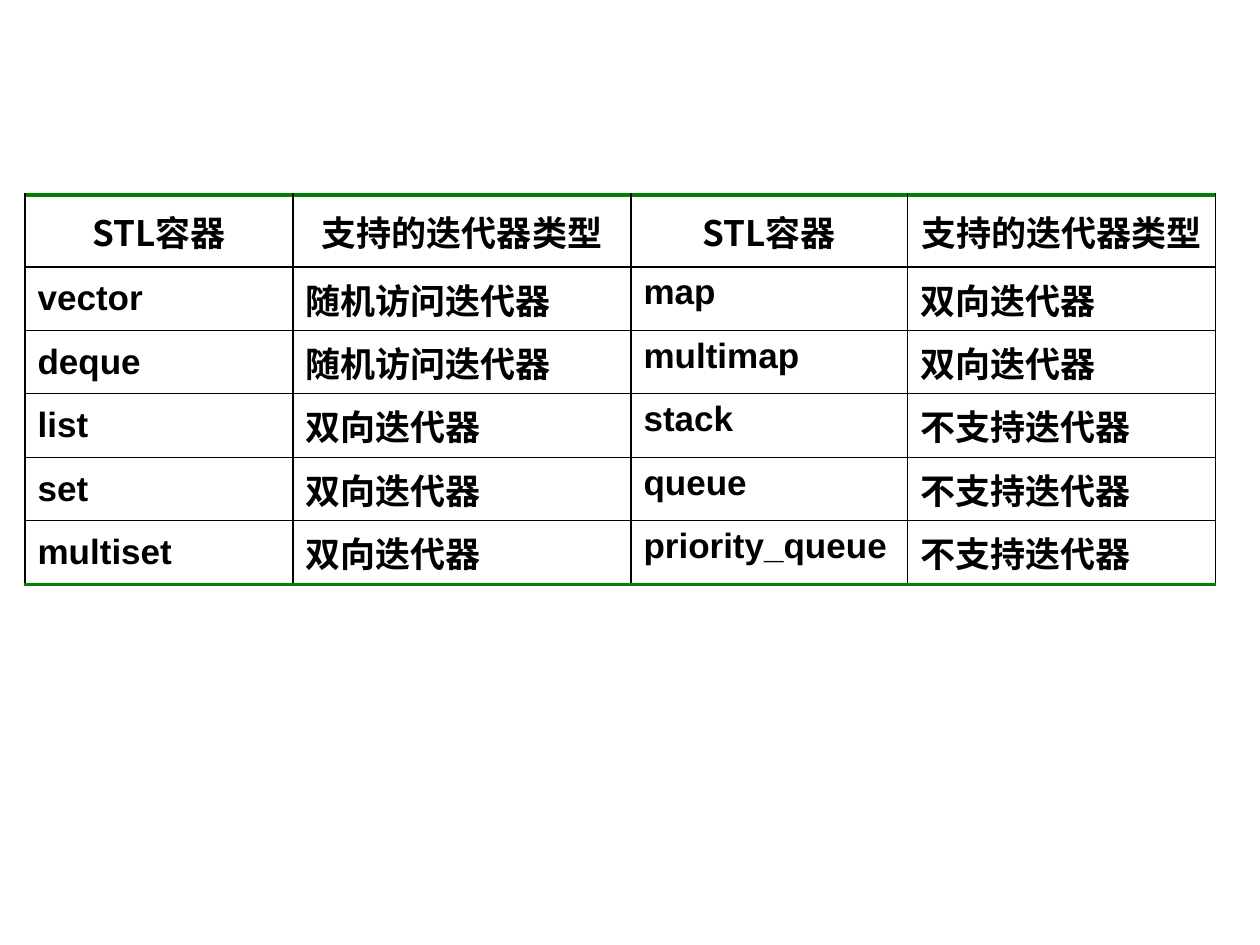
from lxml.etree import SubElement
from pptx import Presentation
from pptx.dml.color import RGBColor
from pptx.enum.text import MSO_ANCHOR, PP_ALIGN
from pptx.oxml.ns import qn
from pptx.util import Pt

PX = 914400 // 126
BLACK, WHITE, GREEN = "000000", "FFFFFF", "008000"
CJK_FONT = "Noto Sans CJK SC"
COLUMN_WIDTHS = [268, 338, 277, 308]
HEADER_HEIGHT, ROW_HEIGHT = 72, 42

HEADERS = ["STL容器", "支持的迭代器类型"] * 2
RANDOM_ACCESS = [("随机访问迭代器", "Arial")]
BIDIRECTIONAL = [("双向迭代器", "Calibri")]
UNSUPPORTED = [("不支持", "Arial"), ("迭代器", "Calibri")]
CONTAINERS = [
    ("vector", RANDOM_ACCESS, "map", BIDIRECTIONAL),
    ("deque", RANDOM_ACCESS, "multimap", BIDIRECTIONAL),
    ("list", BIDIRECTIONAL, "stack", UNSUPPORTED),
    ("set", BIDIRECTIONAL, "queue", UNSUPPORTED),
    ("multiset", BIDIRECTIONAL, "priority_queue", UNSUPPORTED),
]


def color(hex_value):
    return RGBColor.from_string(hex_value)


def add_text(paragraph, text, font="Arial", size=20, bold=True, fill=BLACK):
    run = paragraph.add_run()
    run.text = text
    run.font.size = Pt(size)
    run.font.bold = bold
    run.font.color.rgb = color(fill)
    run.font.name = font
    SubElement(run.font._element, qn("a:ea"), typeface=CJK_FONT)


def add_border(cell, side, hex_value, width):
    properties = cell._tc.get_or_add_tcPr()
    line = SubElement(properties, qn(f"a:ln{side}"), w=str(Pt(width)))
    solid_fill = SubElement(line, qn("a:solidFill"))
    SubElement(solid_fill, qn("a:srgbClr"), val=hex_value)


def format_cell(cell, is_first, is_last, anchor):
    for side in "LRTB":
        is_outer = (side == "T" and is_first) or (side == "B" and is_last)
        add_border(cell, side, *((GREEN, 2) if is_outer else (BLACK, 0.75)))
    cell.fill.solid()
    cell.fill.fore_color.rgb = color(WHITE)
    cell.vertical_anchor = anchor


def add_container_table(slide, left, top, width, height):
    row_count = len(CONTAINERS) + 1
    shape = slide.shapes.add_table(
        row_count, len(COLUMN_WIDTHS), left * PX, top * PX, width * PX, height * PX)
    table = shape.table
    table.first_row = table.horz_banding = False
    for column, column_width in zip(table.columns, COLUMN_WIDTHS):
        column.width = column_width * PX
    for index, row in enumerate(table.rows):
        row.height = (ROW_HEIGHT if index else HEADER_HEIGHT) * PX
    shape.height = height * PX

    for column_index, header in enumerate(HEADERS):
        cell = table.cell(0, column_index)
        format_cell(cell, True, False, MSO_ANCHOR.MIDDLE)
        paragraph = cell.text_frame.paragraphs[0]
        paragraph.alignment = PP_ALIGN.CENTER
        add_text(paragraph, header, font="Arial" if column_index % 2 else CJK_FONT)

    for row_index, values in enumerate(CONTAINERS, start=1):
        for column_index, value in enumerate(values):
            cell = table.cell(row_index, column_index)
            anchor = MSO_ANCHOR.TOP if column_index == 2 else MSO_ANCHOR.MIDDLE
            format_cell(cell, False, row_index == row_count - 1, anchor)
            runs = [(value, "Arial")] if isinstance(value, str) else value
            for text, font in runs:
                add_text(cell.text_frame.paragraphs[0], text, font=font)


def main():
    presentation = Presentation()
    presentation.slide_width = 1260 * PX
    presentation.slide_height = 945 * PX
    slide = presentation.slides.add_slide(presentation.slide_layouts[6])
    add_container_table(slide, 25, 195, sum(COLUMN_WIDTHS), 344)
    presentation.save("out.pptx")


if __name__ == "__main__":
    main()
